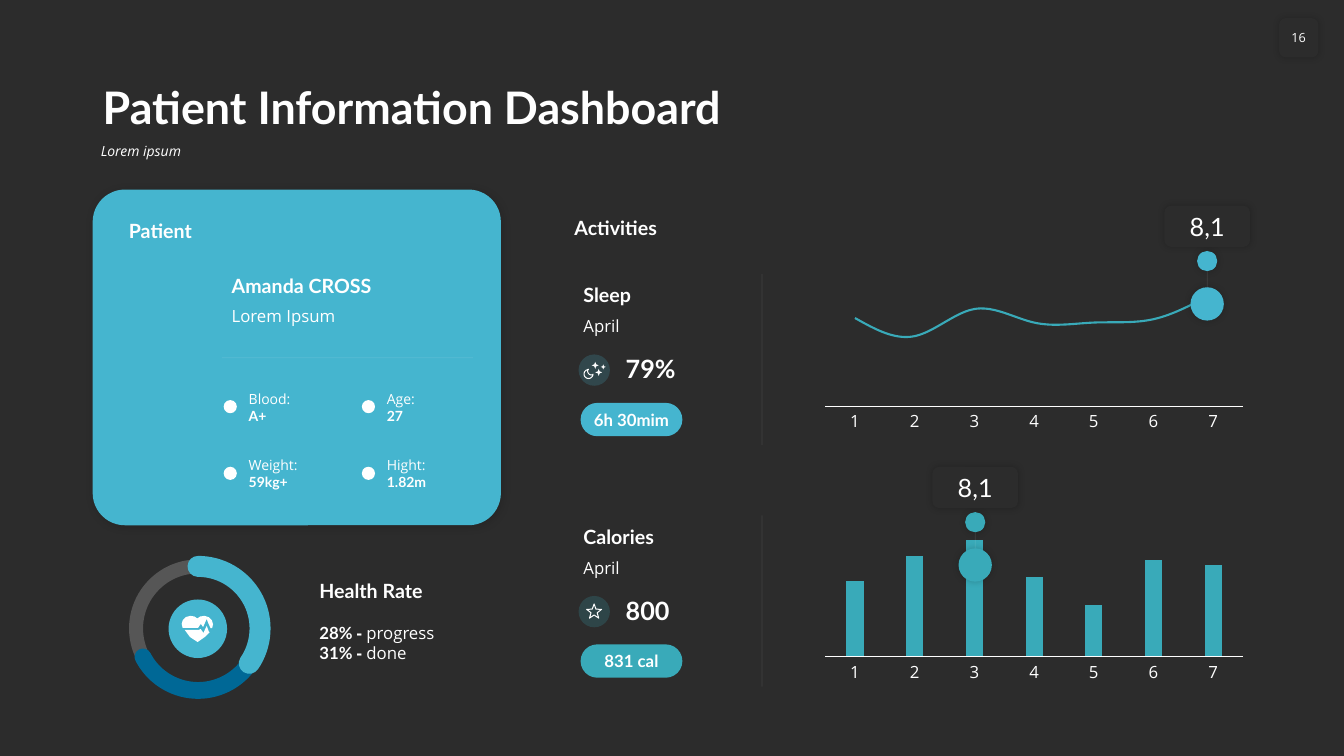
import math
from dataclasses import dataclass
from typing import Any, NamedTuple

import lxml.etree
import pptx
import pptx.chart.data
import pptx.dml.color
import pptx.enum.chart
import pptx.enum.shapes
import pptx.enum.text
import pptx.oxml.ns
import pptx.util

Pt = pptx.util.Pt
qn = pptx.oxml.ns.qn
KIND = pptx.enum.shapes.MSO_SHAPE
ANCHOR = pptx.enum.text.MSO_ANCHOR
ALIGN = pptx.enum.text.PP_ALIGN
CHART = pptx.enum.chart.XL_CHART_TYPE
HEX = {"back": "2C2C2C", "white": "FFFFFF", "sky": "45B5CF", "teal": "39AAB9", "navy": "006896", "black": "000000"}
HEAD, BODY = "Lato", "Open Sans"


class Box(NamedTuple):
    left: float
    top: float
    width: float
    height: float


class Run(NamedTuple):
    text: str
    size: float
    face: str = HEAD
    bold: bool = True
    slant: bool = False


@dataclass
class Fact:
    left: float
    top: float
    label: str
    value: str


@dataclass
class Panel:
    top: float
    name: str
    score: str
    pill: str
    tint: str
    kind: Any
    chart: float
    vals: tuple
    low: float
    high: float
    mid: float
    tip: float


def color(name: str) -> pptx.dml.color.RGBColor:
    return pptx.dml.color.RGBColor.from_string(HEX[name])


def apply(item: Any, form: dict) -> None:
    for key, value in form.items():
        setattr(item, key, value)


def node(root: Any, tag: str, **attrs: Any) -> Any:
    return lxml.etree.SubElement(root, qn(tag), {k: str(v) for k, v in attrs.items()})


def fade(part: Any, rate: int) -> None:
    for tint in part.iter(qn("a:srgbClr")):
        node(tint, "a:alpha", val=rate * 1000)


def paint(shape: Any, fill: str = "", line: str = "", width: float = 0.5) -> None:
    shape.shadow.inherit = False
    if fill:
        shape.fill.solid()
        shape.fill.fore_color.rgb = color(fill)
    else:
        shape.fill.background()
    if line:
        shape.line.color.rgb = color(line)
        shape.line.width = Pt(width)
    else:
        shape.line.fill.background()


def draw(slide: Any, kind: Any, box: Box, fill: str = "", line: str = "", width: float = 0.5,
         rate: int = 100, bends: tuple = (), shade: tuple = ()) -> Any:
    shape = slide.shapes.add_shape(kind, *map(Pt, box))
    for spot, bend in enumerate(bends):
        shape.adjustments[spot] = bend
    paint(shape, fill, line, width)
    frame = shape._element.spPr
    if rate < 100:
        fade(frame, rate)
    if shade:
        dark, blur, dist = shade
        cast = node(frame.find(qn("a:effectLst")), "a:outerShdw", blurRad=Pt(blur), dist=Pt(dist),
                    dir=2700000, algn="ctr", rotWithShape=0)
        node(node(cast, "a:srgbClr", val=HEX["black"]), "a:alpha", val=dark * 1000)
    return shape


def write(shape: Any, lines: list, anchor: Any = ANCHOR.TOP, align: Any = ALIGN.LEFT,
          pads: tuple = (7.2, 3.6), wrap: bool = True, **form: Any) -> None:
    frame = shape.text_frame
    side, edge = map(Pt, pads)
    apply(frame, {"word_wrap": wrap, "vertical_anchor": anchor, "auto_size": pptx.enum.text.MSO_AUTO_SIZE.NONE,
                  "margin_left": side, "margin_right": side, "margin_top": edge, "margin_bottom": edge})
    for spot, runs in enumerate(lines):
        para = frame.add_paragraph() if spot else frame.paragraphs[0]
        apply(para, {"alignment": align, **form})
        for run in runs:
            piece = para.add_run()
            piece.text = run.text
            apply(piece.font, {"size": Pt(run.size), "name": run.face, "bold": run.bold, "italic": run.slant})
            piece.font.color.rgb = color("white")


def label(slide: Any, box: Box, lines: list, anchor: Any = ANCHOR.BOTTOM) -> None:
    write(slide.shapes.add_textbox(*map(Pt, box)), lines, anchor)


def rule(slide: Any, x1: float, y1: float, x2: float, y2: float) -> None:
    line = slide.shapes.add_connector(pptx.enum.shapes.MSO_CONNECTOR.STRAIGHT, *map(Pt, (x1, y1, x2, y2)))
    line.line.color.rgb = color("white")
    line.line.width = Pt(0.5)
    fade(line._element.spPr, 10)
    node(line._element.spPr, "a:effectLst")


def trace(slide: Any, rings: list, fill: str = "", line: str = "", width: float = 0.7) -> None:
    rings = [[(Pt(x), Pt(y)) for x, y in ring] for ring in rings]
    pen = slide.shapes.build_freeform(*rings[0][0], scale=1.0)
    for spot, ring in enumerate(rings):
        if spot:
            pen.move_to(*ring[0])
        pen.add_line_segments(ring[1:], close=True)
    paint(pen.convert_to_shape(), fill, line, width)


def polar(x: float, y: float, size: float, turn: float) -> tuple:
    return x + size * math.cos(math.radians(turn)), y + size * math.sin(math.radians(turn))


def star(x: float, y: float, tips: int, size: float, core: float) -> list:
    return [polar(x, y, core if k % 2 else size, k * 180 / tips - 90) for k in range(2 * tips)]


def plot(slide: Any, panel: Panel) -> None:
    data = pptx.chart.data.CategoryChartData()
    data.categories = [str(day) for day in range(1, 8)]
    data.add_series("Series 1", panel.vals)
    chart = slide.shapes.add_chart(panel.kind, *map(Pt, (583.2, panel.chart, 311, 113.8)), data).chart
    apply(chart, {"has_legend": False, "has_title": False})
    apply(chart.font, {"size": Pt(12), "name": BODY})
    chart.font.color.rgb = color("white")
    apply(chart.value_axis, {"visible": False, "has_major_gridlines": False,
                             "minimum_scale": panel.low, "maximum_scale": panel.high})
    days = chart.category_axis
    none = pptx.enum.chart.XL_TICK_MARK.NONE
    apply(days, {"major_tick_mark": none, "minor_tick_mark": none, "has_major_gridlines": False})
    days.format.line.color.rgb = color("white")
    days.format.line.width = Pt(0.75)
    graph = chart.plots[0]
    graph.vary_by_categories = False
    row = graph.series[0]
    if panel.kind == CHART.LINE:
        row.smooth = True
        row.marker.style = pptx.enum.chart.XL_MARKER_STYLE.NONE
        row.format.line.color.rgb = color("teal")
        row.format.line.width = Pt(1.5)
    else:
        graph.gap_width = 250
        row.format.fill.solid()
        row.format.fill.fore_color.rgb = color("teal")
    area = chart._chartSpace.chart.plotArea
    for old in area.findall(qn("c:layout")):
        area.remove(old)
    place = node(area, "c:layout")
    area.insert(0, place)
    place = node(place, "c:manualLayout")
    for tag, value in {"layoutTarget": "inner", "xMode": "edge", "yMode": "edge",
                       "x": 0.02, "y": 0.03, "w": 0.96, "h": 0.78}.items():
        node(place, "c:" + tag, val=value)


def flag(slide: Any, mid: float, top: float, tint: str) -> None:
    glow = (20, 5, 0)
    draw(slide, KIND.OVAL, Box(mid - 11.9, top + 58.3, 23.8, 23.8), tint, shade=glow)
    rule(slide, mid, top + 46.8, mid, top + 58.3)
    draw(slide, KIND.OVAL, Box(mid - 7.2, top + 32.4, 14.4, 14.4), tint, shade=glow)
    note = draw(slide, KIND.ROUNDED_RECTANGLE, Box(mid - 30.6, top, 61.2, 29.5), "back", shade=glow)
    write(note, [[Run("8,1", 18, bold=False)]], ANCHOR.MIDDLE, ALIGN.CENTER, (5.8, 3.6))


def show(slide: Any, panel: Panel) -> None:
    top = panel.top
    label(slide, Box(409.7, top, 119.5, 24.5), [[Run(panel.name, 14)]])
    label(slide, Box(409.7, top + 24.2, 119.5, 21.6), [[Run("April", 12, BODY, False)]], ANCHOR.TOP)
    draw(slide, KIND.OVAL, Box(413.3, top + 55.2, 22.4, 22.4), panel.tint, rate=20)
    label(slide, Box(439.9, top + 51, 89.3, 28.8), [[Run(panel.score, 18)]])
    pill = draw(slide, KIND.ROUNDED_RECTANGLE, Box(414.7, top + 89.8, 72.7, 23.8), panel.tint, bends=(0.5,))
    write(pill, [[Run(panel.pill, 12)]], ANCHOR.MIDDLE, ALIGN.CENTER, (0, 0))
    rule(slide, 544.3, top + 120, 544.3, top - 2.4)
    plot(slide, panel)
    flag(slide, panel.mid, panel.tip, panel.tint)


def main() -> None:
    deck = pptx.Presentation()
    apply(deck, {"slide_width": Pt(960), "slide_height": Pt(540)})
    slide = deck.slides.add_slide(deck.slide_layouts[2])
    slide.background.fill.solid()
    slide.background.fill.fore_color.rgb = color("back")
    title, motto = slide.placeholders
    for shape, box, run, anchor, gap in (
            (title, Box(66.2, 41.8, 828, 57.6), Run("Patient Information Dashboard", 32), ANCHOR.BOTTOM, 0),
            (motto, Box(64.8, 99.4, 829.4, 25.9), Run("Lorem ipsum", 10, BODY, False, True), ANCHOR.TOP, 10)):
        apply(shape, dict(zip(box._fields, map(Pt, box))))
        write(shape, [[run]], anchor, line_spacing=0.9, space_before=Pt(gap))
        shape.text_frame.paragraphs[0].runs[0].font._element.set("cap", "none")

    draw(slide, KIND.ROUNDED_RECTANGLE, Box(66.2, 135.4, 291.6, 239.8), "sky", bends=(0.096,), shade=(15, 6, 1))
    page = draw(slide, KIND.ROUNDED_RECTANGLE, Box(913.7, 13, 28, 28), "back", shade=(20, 5, 0))
    write(page, [[Run("16", 9, BODY, False)]], ANCHOR.MIDDLE, ALIGN.CENTER, (0, 3.6), False)
    for text, box in (("Patient", Box(85, 151.9, 260, 24.5)), ("Amanda CROSS", Box(158.4, 191.5, 186.5, 24.5)),
                      ("Health Rate", Box(221, 409.7, 123.8, 24.5)), ("Activities", Box(403.2, 149.8, 274.3, 24.5))):
        label(slide, box, [[Run(text, 14)]])
    label(slide, Box(158.4, 214.6, 186.5, 21.6), [[Run("Lorem Ipsum", 12, BODY, False)]], ANCHOR.TOP)
    rule(slide, 158.4, 255.6, 337.7, 255.6)
    for fact in (Fact(159.8, 285.8, "Blood:", "A+"), Fact(258.5, 285.8, "Age:", "27"),
                 Fact(159.8, 333.4, "Weight:", "59kg+"), Fact(258.5, 333.4, "Hight:", "1.82m")):
        draw(slide, KIND.OVAL, Box(fact.left, fact.top, 9.4, 9.4), "white")
        label(slide, Box(fact.left + 10.8, fact.top - 10.8, 68.4, 31.7),
              [[Run(fact.label, 10, BODY, False)], [Run(fact.value, 10)]], ANCHOR.MIDDLE)

    ring = Box(97.2, 404.6, 88.6, 88.6)
    draw(slide, KIND.OVAL, ring, line="white", width=10, rate=20)
    draw(slide, KIND.OVAL, Box(120.4, 428.2, 41.8, 41.8), "sky")
    for tint, width, bends in (("navy", 12, (20.17, 91.58)), ("sky", 15, (162, 20.54))):
        arc = draw(slide, KIND.ARC, ring, line=tint, width=width, bends=bends)
        arc._element.spPr.find(qn("a:ln")).set("cap", "rnd")
    heart = [[(11.2, 1.9), (13.2, 0.5), (16.3, 0), (19.4, 1), (21.6, 3.2), (22.4, 6), (21.8, 8.7), (20.6, 8.7),
              (18.6, 4.2), (17.9, 2.2), (15.3, 8), (13.7, 5.7), (11.7, 8.6), (0.7, 8.6), (0, 5.8), (0.8, 3),
              (3, 0.9), (6.2, 0), (9.2, 0.5)],
             [(17.9, 7.2), (19.4, 11.2), (20, 11.8), (17, 14.8), (11.4, 18.7), (6, 15.2), (2.2, 10.1),
              (12.2, 10.1), (13.6, 9.4), (15.6, 12.3), (16.5, 10.1)]]
    trace(slide, [[(129.8 + x, 439.9 + y) for x, y in part] for part in heart], "white")
    label(slide, Box(221, 441.4, 123.8, 36),
          [[Run(rate + " ", 12), Run("- ", 12, BODY), Run(word, 12, BODY, False)]
           for rate, word in (("28%", "progress"), ("31%", "done"))], ANCHOR.TOP)

    for panel in (Panel(198, "Sleep", "79%", "6h 30mim", "sky", CHART.LINE, 198,
                        (78, 62, 86, 74, 74, 77, 100), 0, 110, 862.3, 146.9),
                  Panel(370.5, "Calories", "800", "831 cal", "teal", CHART.COLUMN_CLUSTERED, 376.6,
                        (90, 96, 100, 91, 84, 95, 94), 71.5, 102, 696.6, 333.4)):
        show(slide, panel)
    moon = [polar(420.4, 267.2, 3.2, turn) for turn in range(0, 271, 15)]
    moon += [polar(422.6, 265.1, 2.8, turn) for turn in range(210, 69, -10)]
    trace(slide, [moon], line="white")
    for x, y, size in ((425.2, 261, 2.5), (430.9, 262.1, 1.8), (427.7, 266, 2.5)):
        trace(slide, [star(x, y, 4, size, size * 0.4)], "white")
    trace(slide, [star(424.4, 437, 5, 5.6, 2.3)], line="white")
    deck.save("out.pptx")


if __name__ == "__main__":
    main()
